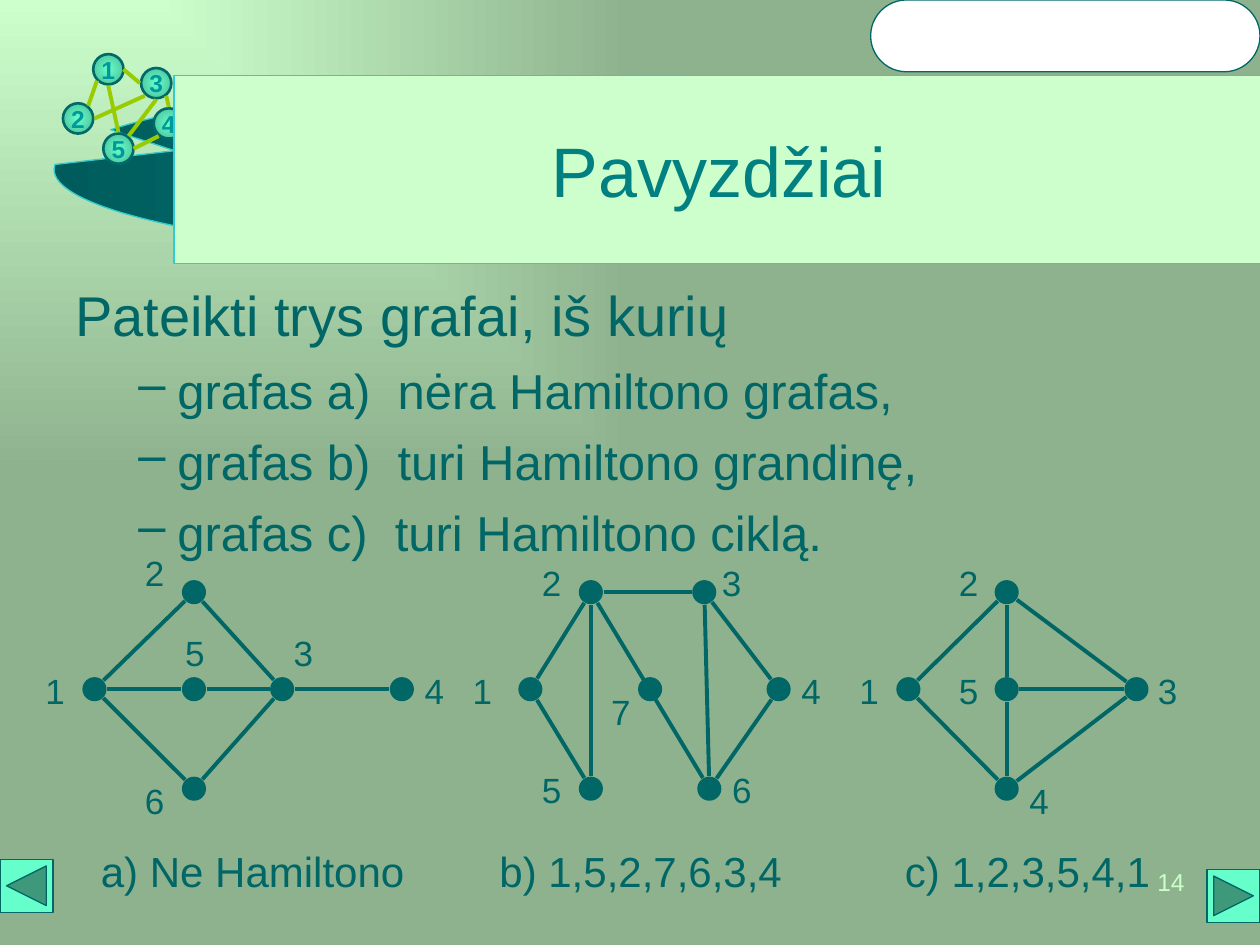
"""Build a slide that compares three graphs by their Hamiltonian properties."""
from dataclasses import dataclass
from math import hypot

from lxml import etree
from pptx import Presentation
from pptx.dml.color import RGBColor
from pptx.enum.shapes import MSO_CONNECTOR, MSO_SHAPE
from pptx.enum.text import MSO_ANCHOR, PP_ALIGN
from pptx.oxml.ns import qn
from pptx.util import Inches, Pt

STRAIGHT = MSO_CONNECTOR.STRAIGHT
OVAL, RECTANGLE, ROUNDED = MSO_SHAPE.OVAL, MSO_SHAPE.RECTANGLE, MSO_SHAPE.ROUNDED_RECTANGLE
CALLOUT = MSO_SHAPE.OVAL_CALLOUT
NEXT, BACK = MSO_SHAPE.ACTION_BUTTON_FORWARD_OR_NEXT, MSO_SHAPE.ACTION_BUTTON_BACK_OR_PREVIOUS
CENTER, LEFT, RIGHT = PP_ALIGN.CENTER, PP_ALIGN.LEFT, PP_ALIGN.RIGHT
TOP, MIDDLE = MSO_ANCHOR.TOP, MSO_ANCHOR.MIDDLE

FONT = "Arial"
COLORS = {
    "ink": "006666", "title": "008080", "pale": "CCFFCC", "sage": "8EB28E",
    "border": "33CCCC", "deep": "005C5C", "mint": "66FFCC", "jade": "49B692",
    "rim": "006A68", "digit": "009999", "lime": "99CC00", "white": "FFFFFF",
}
ROWS = (4.7, 5.47, 6.26)
DOT, TRIM, BADGE = 0.16, 0.1, 0.24


@dataclass(frozen=True)
class Vertex:
    """A graph vertex with its row and the offset of its label."""
    label: str
    x: float
    row: int
    dx: float
    dy: float = 0.01


@dataclass(frozen=True)
class Graph:
    """A captioned graph whose edges are pairs of vertex labels."""
    caption: str
    caption_left: float
    vertices: tuple[Vertex, ...]
    edges: str


@dataclass(frozen=True)
class Badge:
    """A numbered circle of the corner ornament."""
    label: str
    left: float
    top: float


GRAPHS = (
    Graph("a) Ne Hamiltono", 0.35, (
        Vertex("1", 0.75, 1, -0.31), Vertex("2", 1.54, 0, -0.31, -0.15),
        Vertex("5", 1.54, 1, 0.01, -0.29), Vertex("6", 1.54, 2, -0.31, 0.1),
        Vertex("3", 2.24, 1, 0.17, -0.29), Vertex("4", 3.19, 1, 0.26),
    ), "12 23 16 36 15 53 34"),
    Graph("b) 1,5,2,7,6,3,4", 3.43, (
        Vertex("1", 4.21, 1, -0.38), Vertex("2", 4.69, 0, -0.31, -0.07),
        Vertex("5", 4.69, 2, -0.31), Vertex("3", 5.59, 0, 0.22, -0.07),
        Vertex("6", 5.63, 2, 0.26), Vertex("4", 6.18, 1, 0.26),
        Vertex("7", 5.16, 1, -0.23, 0.18),
    ), "12 23 26 36 15 25 34 46"),
    Graph("c) 1,2,3,5,4,1", 6.5, (
        Vertex("1", 7.21, 1, -0.31), Vertex("2", 7.99, 0, -0.3, -0.07),
        Vertex("5", 7.99, 1, -0.3), Vertex("4", 7.99, 2, 0.26, 0.1),
        Vertex("3", 9.02, 1, 0.25),
    ), "12 14 25 54 53 23 34"),
)
BADGES = (
    Badge("1", 0.74, 0.43), Badge("2", 0.5, 0.82), Badge("3", 1.12, 0.54),
    Badge("4", 1.22, 0.86), Badge("5", 0.82, 1.06),
)
ORNAMENT_LINES = (
    (0.7, 0.84, 0.77, 0.64), (0.98, 0.55, 1.11, 0.66), (0.94, 1.05, 0.86, 0.68),
    (1.02, 1.08, 1.24, 0.79), (0.75, 0.94, 1.15, 0.76), (1.34, 0.85, 1.32, 0.76),
    (1.06, 1.18, 1.26, 1.08),
)
BODY = (
    "Pateikti trys grafai, iš kurių",
    "grafas a)  nėra Hamiltono grafas,",
    "grafas b)  turi Hamiltono grandinę,",
    "grafas c)  turi Hamiltono ciklą.",
)


def color(name: str) -> RGBColor:
    """Look up a named colour."""
    return RGBColor.from_string(COLORS[name])


def paint_gradient(fill, element, names: tuple[str, ...], kind: str = "", focus: str = "") -> None:
    """Fill with evenly spaced stops, linear unless a kind is named."""
    fill.gradient()
    gradient = element.find(".//" + qn("a:gradFill"))
    for child in list(gradient):
        gradient.remove(child)
    stops = etree.SubElement(gradient, qn("a:gsLst"))
    for index, name in enumerate(names):
        stop = etree.SubElement(stops, qn("a:gs"), pos=str(100000 * index // (len(names) - 1)))
        etree.SubElement(stop, qn("a:srgbClr"), val=COLORS[name])
    if kind:
        shade = etree.SubElement(gradient, qn("a:path"), {"path": kind})
        etree.SubElement(shade, qn("a:fillToRect"), {side: "50000" if focus == "center" else "100000"
                         for side in ("ltrb" if focus == "center" else "rb")})
    else:
        etree.SubElement(gradient, qn("a:lin"), ang="0", scaled="1")


def add_shape(page, kind, left: float, top: float, width: float, height: float,
              fill: str, line: str, weight: float = 0.75):
    """Add a flat preset shape."""
    shape = page.shapes.add_shape(kind, Inches(left), Inches(top), Inches(width), Inches(height))
    shape.shadow.inherit = False
    shape.fill.solid()
    shape.fill.fore_color.rgb = color(fill)
    shape.line.color.rgb = color(line)
    shape.line.width = Pt(weight)
    return shape


def add_line(page, x1: float, y1: float, x2: float, y2: float, name: str) -> None:
    """Add a straight line without a shadow."""
    line = page.shapes.add_connector(STRAIGHT, Inches(x1), Inches(y1), Inches(x2), Inches(y2))
    line.line.color.rgb = color(name)
    line.line.width = Pt(2.25)
    etree.SubElement(line._element.spPr, qn("a:effectLst"))


def style(para, size: float, name: str, align=CENTER, bold: bool = False) -> None:
    """Set font and alignment of a paragraph."""
    para.alignment = align
    para.font.name, para.font.size, para.font.bold = FONT, Pt(size), bold
    para.font.color.rgb = color(name)


def write(shape, text: str, size: float, name: str, align=CENTER, anchor=TOP,
          bold: bool = False, wrap: bool = True) -> None:
    """Put one styled paragraph into a shape."""
    frame = shape.text_frame
    frame.word_wrap, frame.vertical_anchor = wrap, anchor
    frame.paragraphs[0].text = text
    style(frame.paragraphs[0], size, name, align, bold)


def add_text(page, left: float, top: float, width: float, height: float):
    """Add an empty text box."""
    return page.shapes.add_textbox(Inches(left), Inches(top), Inches(width), Inches(height))


def draw_body(page) -> None:
    """Draw the lead sentence and its dashed list."""
    frame = add_text(page, 0.5, 2.18, 9, 2.33).text_frame
    frame.word_wrap = True
    for index, text in enumerate(BODY):
        para = frame.paragraphs[0] if index == 0 else frame.add_paragraph()
        para.text = text
        para.space_before = Pt(7)
        style(para, 28 if index else 32, "ink", LEFT)
        margin, indent = (0.81, -0.31) if index else (0.38, -0.38)
        para.level = 1 if index else 0
        properties = para._p.get_or_add_pPr()
        properties.set("marL", str(Inches(margin)))
        properties.set("indent", str(Inches(indent)))
        if index:
            bullet = etree.Element(qn("a:buChar"), char="–")
            properties.find(qn("a:defRPr")).addprevious(bullet)


def draw_graph(page, graph: Graph) -> None:
    """Draw vertices, labels, edges and caption of one graph."""
    points = {vertex.label: (vertex.x, ROWS[vertex.row]) for vertex in graph.vertices}
    for vertex in graph.vertices:
        x, y = points[vertex.label]
        add_shape(page, OVAL, x - DOT / 2, y - DOT / 2, DOT, DOT, "ink", "ink", 2.25)
        label = add_text(page, x + vertex.dx - 0.1, y + vertex.dy - 0.17, 0.19, 0.33)
        frame = label.text_frame
        frame.margin_left = frame.margin_right = Inches(0.02)
        frame.margin_top = frame.margin_bottom = 0
        write(label, vertex.label, 20, "ink", wrap=False)
    for start, end in graph.edges.split():
        (x1, y1), (x2, y2) = points[start], points[end]
        share = TRIM / hypot(x2 - x1, y2 - y1)
        dx, dy = (x2 - x1) * share, (y2 - y1) * share
        add_line(page, x1 + dx, y1 + dy, x2 - dx, y2 - dy, "ink")
    write(add_text(page, graph.caption_left, 6.66, 3.31, 0.5), graph.caption, 24, "ink")


def draw_ornament(page) -> None:
    """Draw the dark callout and the small numbered network."""
    callout = add_shape(page, CALLOUT, 0.43, 0.6, 9.57, 1.49, "deep", "border")
    callout.adjustments[0], callout.adjustments[1] = -0.4, -0.1
    paint_gradient(callout.fill, callout._element, ("deep", "title", "deep"))
    for badge in BADGES:
        circle = add_shape(page, OVAL, badge.left, badge.top, BADGE, BADGE, "mint", "rim", 1.5)
        paint_gradient(circle.fill, circle._element, ("mint", "jade"), "circle", "center")
        write(circle, badge.label, 14, "digit", anchor=MIDDLE, bold=True, wrap=False)
    for ends in ORNAMENT_LINES:
        add_line(page, *ends, "lime")


def main() -> None:
    """Assemble and save the slide."""
    deck = Presentation()
    deck.slide_width, deck.slide_height = Inches(10), Inches(7.5)
    page = deck.slides.add_slide(deck.slide_layouts[6])
    paint_gradient(page.background.fill, page._element, ("pale", "sage"), "rect", "corner")
    draw_ornament(page)
    add_shape(page, NEXT, 9.58, 6.9, 0.42, 0.42, "mint", "ink")
    add_shape(page, BACK, 0, 6.82, 0.42, 0.42, "mint", "ink")
    add_shape(page, ROUNDED, 6.91, 0, 3.09, 0.57, "white", "ink").adjustments[0] = 0.5
    write(add_text(page, 8.86, 6.83, 0.64, 0.52), "14", 14, "pale", RIGHT)
    title = add_shape(page, RECTANGLE, 1.38, 0.6, 8.65, 1.49, "pale", "border")
    write(title, "Pavyzdžiai", 40, "title", anchor=MIDDLE)
    draw_body(page)
    for graph in GRAPHS:
        draw_graph(page, graph)
    deck.save("out.pptx")


main()
